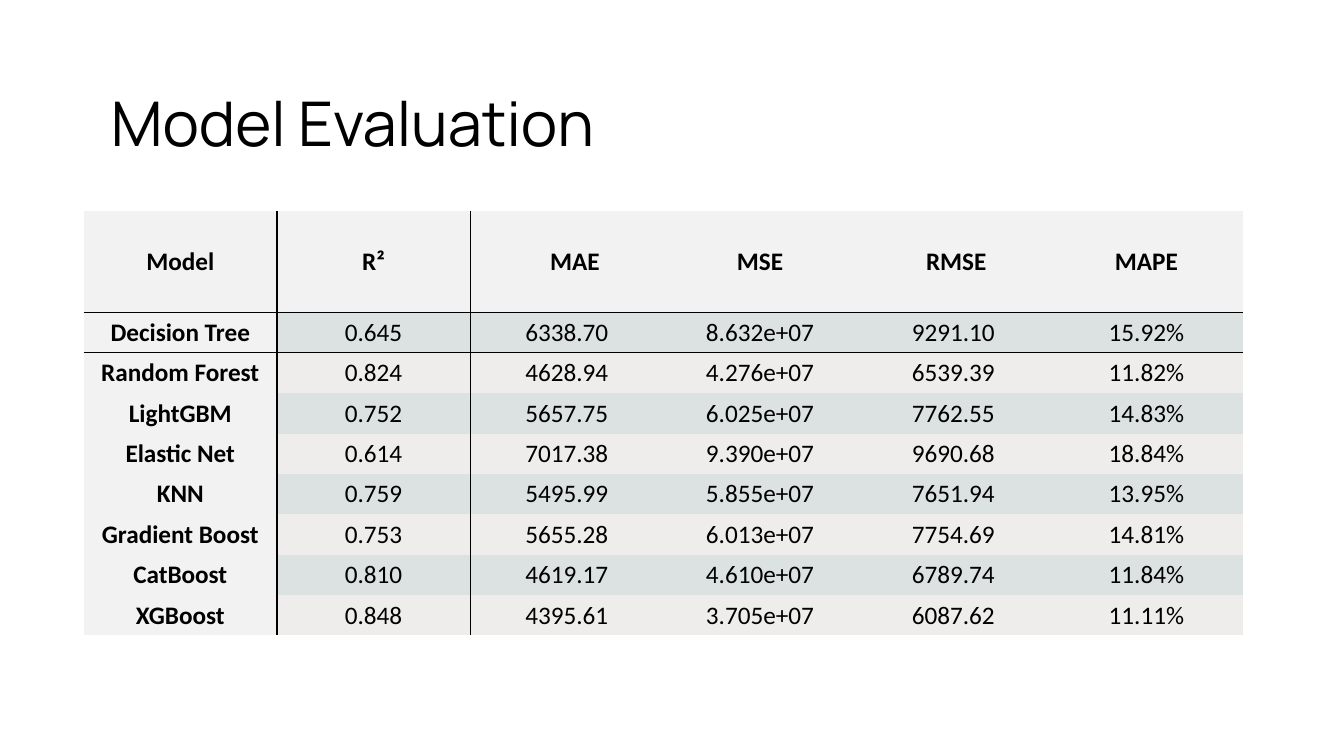
from lxml import etree
from pptx import Presentation, util as u
from pptx.dml.color import RGBColor
from pptx.enum import text as t
from pptx.oxml import ns

INK = RGBColor(0x00, 0x00, 0x00)
HEAD = RGBColor(0xF2, 0xF2, 0xF2)
BANDS = (RGBColor(0xDC, 0xE2, 0xE2), RGBColor(0xEF, 0xED, 0xEC))
NO_GRID = "{2D5ABB26-0587-4C30-8999-92F81FD0307C}"

SCORES = [
    ("Model", "R²", "MAE", "MSE", "RMSE", "MAPE"),
    ("Decision Tree", "0.645", "6338.70", "8.632e+07", "9291.10", "15.92%"),
    ("Random Forest", "0.824", "4628.94", "4.276e+07", "6539.39", "11.82%"),
    ("LightGBM", "0.752", "5657.75", "6.025e+07", "7762.55", "14.83%"),
    ("Elastic Net", "0.614", "7017.38", "9.390e+07", "9690.68", "18.84%"),
    ("KNN", "0.759", "5495.99", "5.855e+07", "7651.94", "13.95%"),
    ("Gradient Boost", "0.753", "5655.28", "6.013e+07", "7754.69", "14.81%"),
    ("CatBoost", "0.810", "4619.17", "4.610e+07", "6789.74", "11.84%"),
    ("XGBoost", "0.848", "4395.61", "3.705e+07", "6087.62", "11.11%"),
]
# Extra left inset that nudges a column heading to the right
NUDGE = {"MAE": 0.16, "RMSE": 0.06}


def write(frame, words, font="Calibri", size=18, bold=False,
          align=t.PP_ALIGN.CENTER):
    para = frame.paragraphs[0]
    para.alignment = align
    run = para.add_run()
    run.text = words
    run.font.name = font
    run.font.size = u.Pt(size)
    run.font.bold = bold
    run.font.color.rgb = INK


class Page:
    def __init__(self, deck):
        self.slide = deck.slides.add_slide(deck.slide_layouts[6])

    def title(self, words, left, top, width, height):
        box = self.slide.shapes.add_textbox(
            *map(u.Inches, (left, top, width, height)))
        box.text_frame.word_wrap = True
        write(box.text_frame, words, font="Manrope", size=44,
              align=t.PP_ALIGN.LEFT)

    def edge(self, cell, side):
        props = cell._tc.get_or_add_tcPr()
        line = etree.SubElement(props, ns.qn("a:ln" + side), w=str(u.Pt(1)))
        fill = etree.SubElement(line, ns.qn("a:solidFill"))
        etree.SubElement(fill, ns.qn("a:srgbClr"), val=str(INK))

    def table(self, rows, left, top, width, first, rest):
        count = len(rows)
        height = first + rest * (count - 1)
        grid = self.slide.shapes.add_table(
            count, len(rows[0]),
            *map(u.Inches, (left, top, width, height))).table
        grid._tbl.tblPr.find(ns.qn("a:tableStyleId")).text = NO_GRID
        for r, row in enumerate(rows):
            grid.rows[r].height = u.Inches(rest if r else first)
            for c, words in enumerate(row):
                self.cell(grid.cell(r, c), words, r, c)

    def cell(self, cell, words, r, c):
        # Rules beside the first column and below the first row
        sides = {"L": c == 1, "R": c == 0, "T": r == 1, "B": r == 0}
        for side, drawn in sides.items():
            if drawn:
                self.edge(cell, side)
        label = r == 0 or c == 0
        cell.fill.solid()
        cell.fill.fore_color.rgb = HEAD if label else BANDS[(r - 1) % 2]
        cell.vertical_anchor = t.MSO_ANCHOR.MIDDLE
        cell.margin_left = u.Inches(0.1 + NUDGE.get(words, 0))
        write(cell.text_frame, words, bold=label)


def main():
    deck = Presentation()
    deck.slide_width = u.Inches(13.33)
    deck.slide_height = u.Inches(7.5)
    page = Page(deck)
    page.title("Model Evaluation", 1, 0.79, 11.42, 1.44)
    page.table(SCORES, 0.83, 2.09, 11.5, first=1.01, rest=0.4)
    deck.save("out.pptx")


if __name__ == "__main__":
    main()
